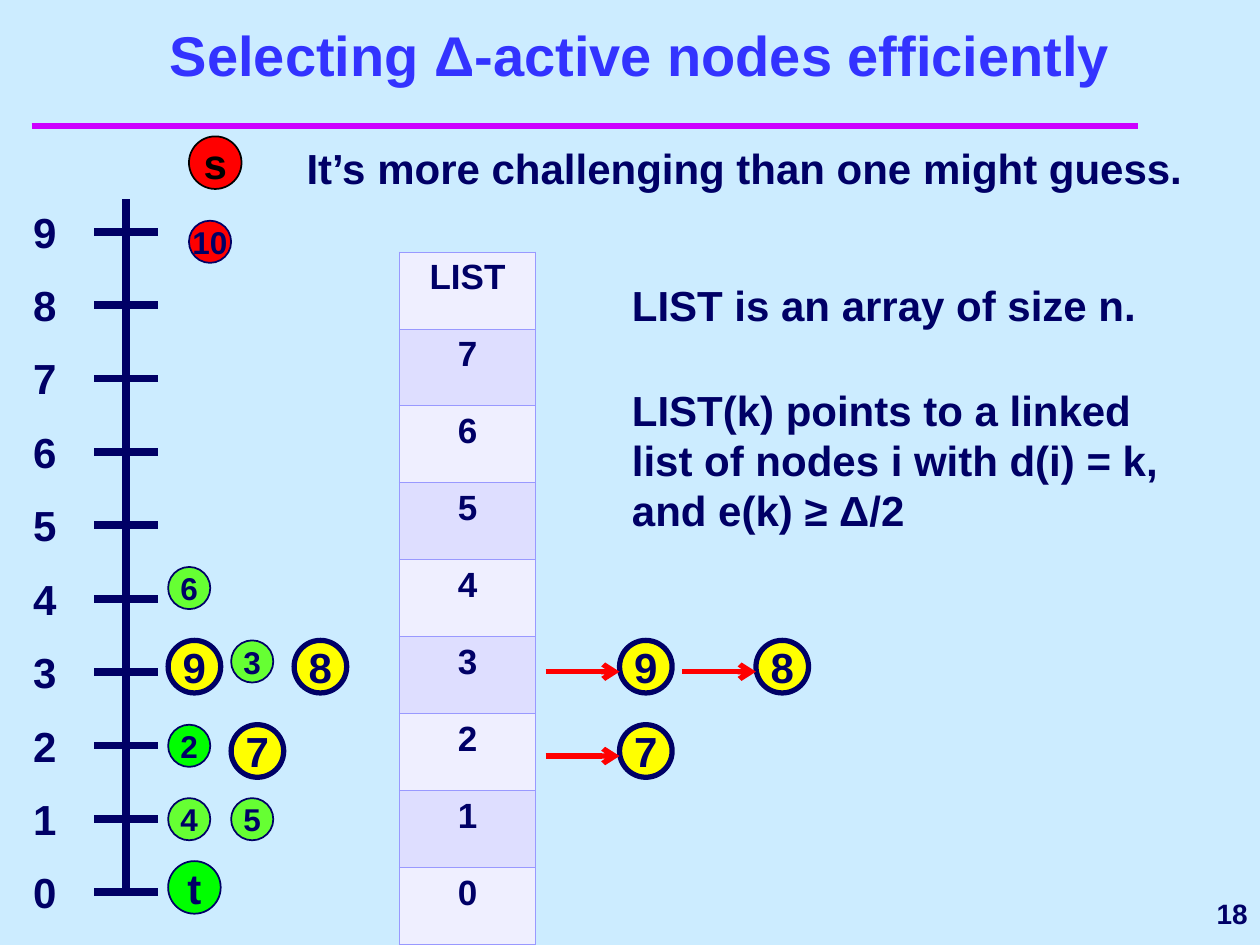
from dataclasses import dataclass

import pptx
import pptx.dml.color
import pptx.enum.shapes
import pptx.enum.text
import pptx.util
from lxml import etree
from pptx.enum.text import MSO_ANCHOR, PP_ALIGN
from pptx.oxml.ns import qn
from pptx.util import Cm, Pt

NAVY, RED, YELLOW = "000066", "FF0000", "FFFF00"
GREEN, LIME, SKY = "00FF00", "66FF33", "CCECFF"
BIG, SMALL = 1.06, 0.85
LEVELS = 10
BASE_Y, LEVEL_STEP = 17.99, 1.48
COLUMNS = [3.39, 4.66, 5.93]
LIST_ROWS = ["LIST", "7", "6", "5", "4", "3", "2", "1", "0"]


@dataclass
class Node:
    label: str
    x: float
    y: float
    size: float = SMALL
    fill: str = LIME
    ink: str = NAVY
    border: float = 1


@dataclass
class Caption:
    text: str
    x: float
    y: float
    width: float
    height: float = 1.27
    size: float = 24
    color: str = NAVY
    align: PP_ALIGN = PP_ALIGN.LEFT
    anchor: MSO_ANCHOR = MSO_ANCHOR.TOP


def rgb(code: str) -> pptx.dml.color.RGBColor:
    return pptx.dml.color.RGBColor.from_string(code)


def style_text(frame, text: str, size: float, color: str, align: PP_ALIGN) -> None:
    frame.text = text
    paragraph = frame.paragraphs[0]
    paragraph.alignment = align
    paragraph.font.name = "Arial"
    paragraph.font.size = Pt(size)
    paragraph.font.bold = True
    paragraph.font.color.rgb = rgb(color)


def draw_caption(shapes, caption: Caption) -> None:
    box = shapes.add_textbox(Cm(caption.x), Cm(caption.y), Cm(caption.width), Cm(caption.height))
    frame = box.text_frame
    frame.word_wrap = True
    frame.vertical_anchor = caption.anchor
    style_text(frame, caption.text, caption.size, caption.color, caption.align)


def draw_node(shapes, node: Node) -> None:
    circle = shapes.add_shape(pptx.enum.shapes.MSO_SHAPE.OVAL,
                              Cm(node.x), Cm(node.y), Cm(node.size), Cm(node.size))
    circle.shadow.inherit = False
    circle.fill.solid()
    circle.fill.fore_color.rgb = rgb(node.fill)
    circle.line.color.rgb = rgb(node.ink)
    circle.line.width = Pt(node.border)
    frame = circle.text_frame
    frame.word_wrap = False
    frame.vertical_anchor = MSO_ANCHOR.MIDDLE
    style_text(frame, node.label, 24 if node.size == BIG else 18, node.ink, PP_ALIGN.CENTER)


def active_node(label: str, x: float, y: float) -> Node:
    return Node(label, x, y, BIG, YELLOW, border=3)


def draw_line(shapes, start: tuple[float, float], end: tuple[float, float],
              color: str, width: float, arrow: bool = False) -> None:
    line = shapes.add_connector(pptx.enum.shapes.MSO_CONNECTOR.STRAIGHT,
                                Cm(start[0]), Cm(start[1]), Cm(end[0]), Cm(end[1]))
    line.line.color.rgb = rgb(color)
    line.line.width = Pt(width)
    if arrow:
        etree.SubElement(line.line._get_or_add_ln(), qn("a:tailEnd"), type="arrow")
    etree.SubElement(line._element.spPr, qn("a:effectLst"))


def border_cell(cell, color: str, width: float) -> None:
    """Outline all four sides; borders must precede the fill in the cell properties."""
    properties = cell._tc.get_or_add_tcPr()
    for position, side in enumerate(("a:lnL", "a:lnR", "a:lnT", "a:lnB")):
        edge = etree.Element(qn(side), w=str(Pt(width)))
        fill = etree.SubElement(edge, qn("a:solidFill"))
        etree.SubElement(fill, qn("a:srgbClr"), val=color)
        properties.insert(position, edge)


def draw_list_table(shapes) -> None:
    row_height = Cm(1.55)
    table = shapes.add_table(len(LIST_ROWS), 1, Cm(8.05), Cm(5.08),
                             Cm(2.75), row_height * len(LIST_ROWS)).table
    for index, entry in enumerate(LIST_ROWS):
        table.rows[index].height = row_height
        cell = table.cell(index, 0)
        style_text(cell.text_frame, entry, 20, NAVY, PP_ALIGN.CENTER)
        cell.fill.solid()
        cell.fill.fore_color.rgb = rgb("DEDEFF" if index % 2 else "EFEFFF")
        border_cell(cell, "9999FF", 0.45)


def draw_distance_axis(shapes) -> None:
    draw_line(shapes, (2.54, 4.02), (2.54, BASE_Y), NAVY, 4.5)
    for level in range(LEVELS):
        y = BASE_Y - level * LEVEL_STEP
        draw_line(shapes, (1.9, y), (3.18, y), NAVY, 4.5)
        draw_caption(shapes, Caption(str(level), 0.42, y - 0.64, 1.06))


def main() -> None:
    presentation = pptx.Presentation()
    presentation.slide_width, presentation.slide_height = Cm(25.4), Cm(19.05)
    slide = presentation.slides.add_slide(presentation.slide_layouts[6])
    slide.background.fill.solid()
    slide.background.fill.fore_color.rgb = rgb(SKY)
    shapes = slide.shapes

    draw_line(shapes, (0.64, 2.54), (22.94, 2.54), "CC00FF", 4)
    captions = [
        Caption("18", 20.52, 17.78, 4.88, size=16,
                align=PP_ALIGN.RIGHT, anchor=MSO_ANCHOR.MIDDLE),
        Caption("Selecting Δ-active nodes efficiently", 1.06, 0.84, 23.7, 1.06, 32, "3333FF",
                PP_ALIGN.CENTER, MSO_ANCHOR.BOTTOM),
        Caption("It’s more challenging than one might guess.", 5.93, 2.75, 18.41),
        Caption("LIST is an array of size n.", 12.49, 5.5, 11.22),
        Caption("LIST(k) points to a linked list of nodes i with d(i) = k, and e(k) ≥ Δ/2",
                12.49, 7.62, 11.22, 3.3),
    ]
    for caption in captions:
        draw_caption(shapes, caption)

    network = shapes.add_group_shape().shapes
    draw_distance_axis(network)
    first, second, third = COLUMNS
    level_2_y, level_3_y = 14.61, 12.91
    nodes = [
        Node("s", 3.81, 2.75, BIG, RED, "000000"),
        Node("10", 3.81, 4.45, fill=RED),
        Node("6", first, 11.43),
        active_node("9", first, level_3_y),
        Node("3", second, level_3_y),
        active_node("8", third, level_3_y),
        Node("2", first, level_2_y, fill=GREEN),
        active_node("7", second, level_2_y),
        Node("4", first, 16.09),
        Node("5", second, 16.09),
        Node("t", first, 17.36, BIG, GREEN),
    ]
    for node in nodes:
        draw_node(network, node)

    draw_list_table(shapes)

    linked_lists = shapes.add_group_shape().shapes
    for labels, y in (("98", level_3_y), ("7", level_2_y)):
        for position, label in enumerate(labels):
            x = 12.49 + position * 2.75
            draw_node(linked_lists, active_node(label, x, y))
            draw_line(linked_lists, (x - 1.49, y + 0.63), (x, y + 0.63), RED, 3, arrow=True)

    presentation.save("out.pptx")


if __name__ == "__main__":
    main()
